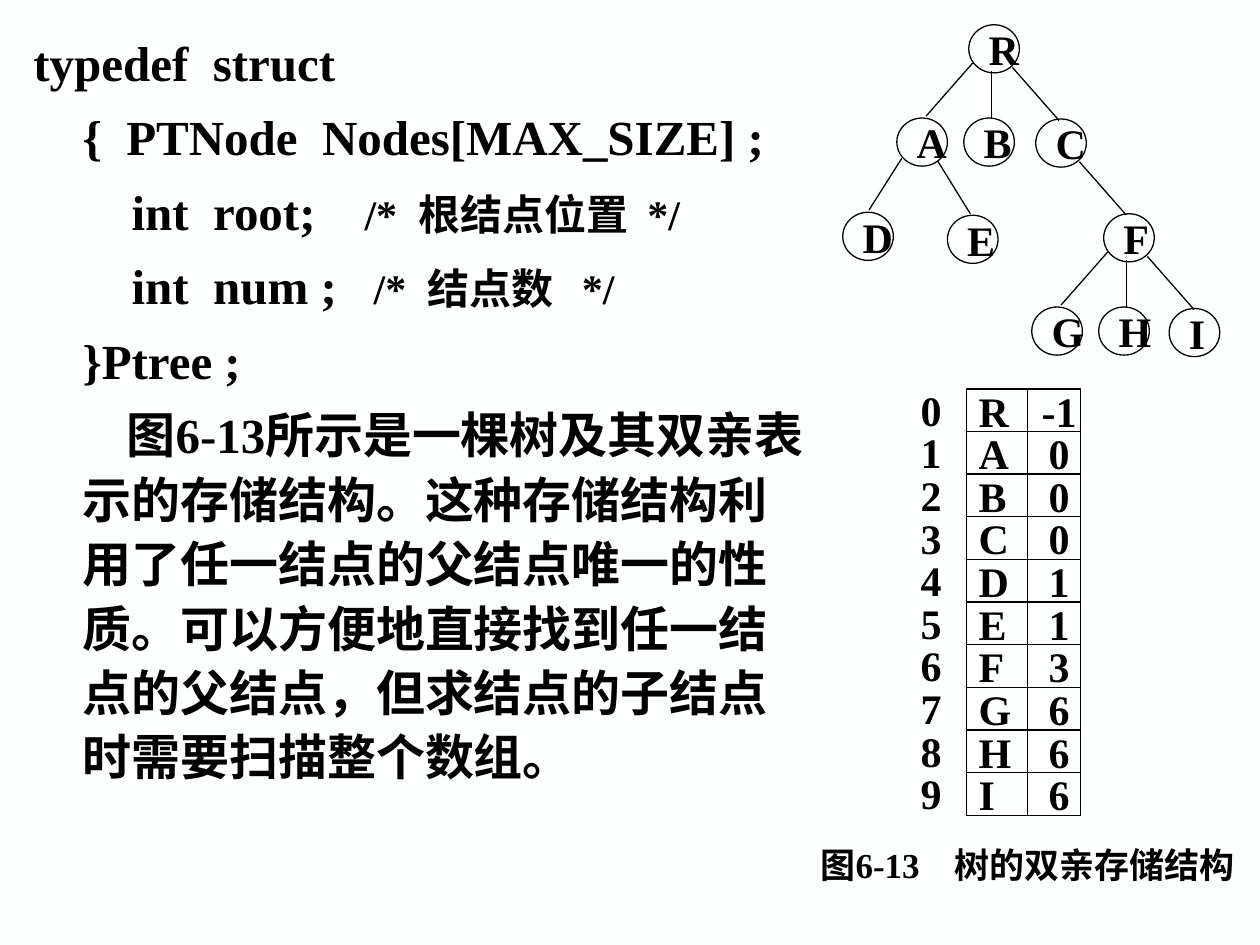
from pptx import Presentation
from pptx.dml.color import RGBColor
from pptx.enum.shapes import MSO_CONNECTOR as Connector, MSO_SHAPE as Shape
from pptx.enum.text import MSO_ANCHOR as Anchor, MSO_AUTO_SIZE as AutoSize, PP_ALIGN as Align
from pptx.oxml.ns import qn
from pptx.util import Cm, Pt
from lxml import etree

FONT = "Times New Roman"
CHINESE_FONT = "Noto Sans CJK SC"
BLACK = "000000"
PAPER = "FEFFFF"
LINE_WIDTH = Pt(0.75)

CODE = [
    (0, [("typedef  struct", 28)]),
    (1, [("{  PTNode  Nodes[MAX_SIZE] ;", 28)]),
    (2, [("int  root;    ", 28), ("/*  根结点位置  */", 24)]),
    (2, [("int  num ;   ", 28), ("/*  结点数   */", 24)]),
    (1, [("}Ptree ;", 28)]),
]
EXPLANATION = (
    "图6-13所示是一棵树及其双亲表示的存储结构。这种存储结构利用了任一结点的父结点唯一的性质。"
    "可以方便地直接找到任一结点的父结点，但求结点的子结点时需要扫描整个数组。"
)
NODES = {
    "R": (2.54, 0), "A": (1.09, 1.88), "B": (2.44, 1.88), "C": (3.89, 1.9),
    "D": (0, 3.78), "E": (2.11, 3.84), "F": (5.26, 3.81),
    "G": (3.81, 5.69), "H": (5.16, 5.69), "I": (6.58, 5.72),
}
LEFT_EDGE = (0.08, 0.77, -0.94, 1.07)
MIDDLE_EDGE = (0.46, 0.94, 0, 0.94)
RIGHT_EDGE = (0.88, 0.86, 0.94, 1.07)
EDGES = {
    "R": [LEFT_EDGE, MIDDLE_EDGE, RIGHT_EDGE],
    "A": [(0.1, 0.81, -0.66, 1.04), (0.82, 0.86, 0.66, 1.07)],
    "C": [RIGHT_EDGE],
    "F": [LEFT_EDGE, MIDDLE_EDGE, RIGHT_EDGE],
}
PARENTS = [("R", -1), ("A", 0), ("B", 0), ("C", 0), ("D", 1),
           ("E", 1), ("F", 3), ("G", 6), ("H", 6), ("I", 6)]


def color(value):
    return RGBColor.from_string(value)


def write(para, text, size=24, font=FONT, fill=BLACK, bold=True):
    span = para.add_run()
    span.text = text
    span.font.size = Pt(size)
    span.font.name = font
    span.font.bold = bold
    span.font.color.rgb = color(fill)
    east_asian = etree.SubElement(span.font._element, qn("a:ea"))
    east_asian.set("typeface", CHINESE_FONT)


def indent(para, margin, first=0):
    properties = para._p.get_or_add_pPr()
    properties.set("marL", str(Cm(margin)))
    properties.set("indent", str(Cm(first)))
    etree.SubElement(properties, qn("a:buNone"))


def add_tab(para, position, align):
    tabs = etree.SubElement(para._p.get_or_add_pPr(), qn("a:tabLst"))
    etree.SubElement(tabs, qn("a:tab"), pos=str(Cm(position)), algn=align)


def label(box, text, size=24, tab=None):
    frame = box.text_frame
    frame.word_wrap = tab is not None
    frame.vertical_anchor = Anchor.MIDDLE
    para = frame.paragraphs[0]
    para.alignment = Align.LEFT
    if tab:
        frame.margin_right = 0
        add_tab(para, *tab)
    write(para, text, size)


def add_outline(page, kind, left, top, width, height):
    box = page.shapes.add_shape(kind, Cm(left), Cm(top), Cm(width), Cm(height))
    box.shadow.inherit = False
    box.fill.background()
    box.line.color.rgb = color(BLACK)
    box.line.width = LINE_WIDTH
    return box


def add_line(page, left, top, across, down):
    line = page.shapes.add_connector(
        Connector.STRAIGHT, Cm(left), Cm(top), Cm(left + across), Cm(top + down))
    line.line.color.rgb = color(BLACK)
    line.line.width = LINE_WIDTH
    etree.SubElement(line._element.spPr, qn("a:effectLst"))


def add_code(page, left, top, width, height):
    body = page.placeholders[1]
    body.left, body.top, body.width, body.height = map(Cm, (left, top, width, height))
    frame = body.text_frame
    frame.auto_size = AutoSize.NONE
    frame.word_wrap = True
    frame.vertical_anchor = Anchor.TOP
    paragraphs = [(level, 0, spans) for level, spans in CODE]
    paragraphs.append((1, 0.89, [(EXPLANATION, 28)]))
    for number, (level, first, spans) in enumerate(paragraphs):
        para = frame.add_paragraph() if number else frame.paragraphs[0]
        para.line_spacing = Pt(36.8)
        para.space_before = Pt(5.8 if number else 0)
        indent(para, level * 0.99, first)
        for text, size in spans:
            write(para, text, size)


def add_tree(page, left, top):
    for name, (across, down) in NODES.items():
        node = add_outline(page, Shape.OVAL, left + across, top + down, 1.02, 0.97)
        label(node, name)
    for parent, edges in EDGES.items():
        across, down = NODES[parent]
        for start_x, start_y, run, drop in edges:
            add_line(page, left + across + start_x, top + down + start_y, run, drop)


def add_array(page, left, top, row_height):
    for index, (name, parent) in enumerate(PARENTS):
        row_top = top + index * row_height
        cell = add_outline(page, Shape.RECTANGLE, left, row_top, 2.31, row_height)
        label(cell, f"{name}\t{parent}", tab=(1.62, "ctr"))
        number = page.shapes.add_textbox(
            Cm(left - 1.17), Cm(row_top - 0.02), Cm(0.97), Cm(row_height))
        label(number, str(index))
    add_line(page, left + 1.24, top, 0, len(PARENTS) * row_height)


def add_caption(page, left, top, width, height):
    box = page.shapes.add_textbox(Cm(left), Cm(top), Cm(width), Cm(height))
    label(box, "图6-13\t树的双亲存储结构", size=20, tab=(2.7, "l"))


def main():
    deck = Presentation()
    deck.slide_width, deck.slide_height = Cm(25.4), Cm(19.05)
    page = deck.slides.add_slide(deck.slide_layouts[1])
    page.background.fill.solid()
    page.background.fill.fore_color.rgb = color(PAPER)
    title = page.shapes.title._element
    title.getparent().remove(title)
    add_code(page, 0.42, 0.41, 16.08, 15.8)
    add_tree(page, 16.99, 0.5)
    add_array(page, 19.48, 7.84, 0.86)
    add_caption(page, 16.29, 16.94, 8.9, 0.99)
    deck.save("out.pptx")


if __name__ == "__main__":
    main()
